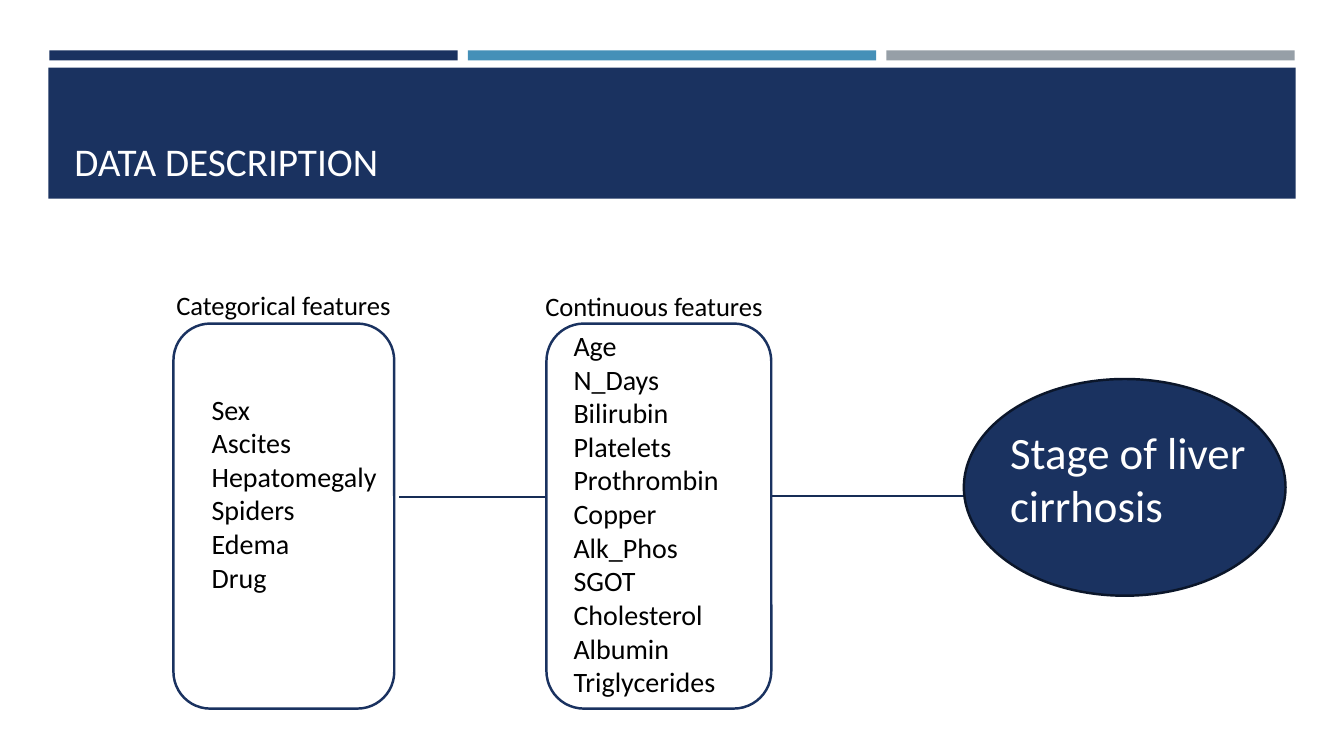
"""Build the data description slide: two feature groups leading to the stage of cirrhosis."""
from lxml.etree import SubElement
from pptx import Presentation
from pptx.dml.color import RGBColor
from pptx.enum.shapes import MSO_CONNECTOR, MSO_SHAPE
from pptx.enum.text import MSO_ANCHOR
from pptx.oxml.ns import qn
from pptx.util import Inches, Pt

NAVY = "1A3260"


def paint(color_format, color):
    color_format.rgb = RGBColor.from_string(color)


def add_text(box, lines, size, color, anchor=MSO_ANCHOR.TOP):
    text_box = slide.shapes.add_textbox(*map(Inches, box))
    frame = text_box.text_frame
    frame.word_wrap = True
    frame.vertical_anchor = anchor
    frame.text = "\n".join(lines)
    for paragraph in frame.paragraphs:
        font = paragraph.font
        for name, value in {"name": "Calibri", "size": Pt(size)}.items():
            setattr(font, name, value)
        paint(font.color, color)


presentation = Presentation()
presentation.slide_width = Inches(13.33)
presentation.slide_height = Inches(7.5)
slide = presentation.slides.add_slide(presentation.slide_layouts[6])

for left, right, height in [(3.96, 5.42, 4.93), (7.65, 9.6, 4.92)]:
    connector = slide.shapes.add_connector(
        MSO_CONNECTOR.STRAIGHT, Inches(left), Inches(height), Inches(right), Inches(height)
    )
    connector.line.width = Pt(1)
    paint(connector.line.color, "172D56")
    SubElement(connector._element.spPr, qn("a:effectLst"))

shapes = [
    (MSO_SHAPE.RECTANGLE, (0.48, 0.67, 12.37, 1.3), NAVY, None),
    (MSO_SHAPE.ROUNDED_RECTANGLE, (1.72, 3.21, 2.19, 3.82), "FFFFFF", NAVY),
    (MSO_SHAPE.ROUNDED_RECTANGLE, (5.42, 3.21, 2.23, 3.82), "FFFFFF", NAVY),
    (MSO_SHAPE.OVAL, (9.56, 3.76, 3.19, 2.15), NAVY, "0B162A"),
]
for column, color in enumerate([NAVY, "4590B8", "969FA7"]):
    shapes.append((MSO_SHAPE.RECTANGLE, (0.49 + column * 4.15, 0.5, 4.05, 0.1), color, None))

for kind, box, fill, outline in shapes:
    shape = slide.shapes.add_shape(kind, *map(Inches, box))
    shape.shadow.inherit = False
    shape.fill.solid()
    paint(shape.fill.fore_color, fill)
    if outline:
        shape.line.width = Pt(1.75)
        paint(shape.line.color, outline)
    else:
        shape.line.fill.background()

categorical = ["Sex", "Ascites", "Hepatomegaly", "Spiders", "Edema", "Drug"]
continuous = [
    "Age", "N_Days", "Bilirubin", "Platelets", "Prothrombin", "Copper",
    "Alk_Phos", "SGOT", "Cholesterol", "Albumin", "Triglycerides",
]
add_text((0.64, 0.77, 12.06, 1.11), ["DATA DESCRIPTION"], 28, "FFFFFF", MSO_ANCHOR.BOTTOM)
add_text((1.65, 2.82, 2.52, 0.42), ["Categorical features"], 19, "000000")
add_text((5.31, 2.83, 3.13, 0.42), ["Continuous features"], 19, "000000")
add_text((2, 3.84, 1.91, 2.42), categorical, 20, "000000")
add_text((5.59, 3.21, 2.23, 3.8), continuous, 20, "000000")
add_text((9.92, 4.16, 2.83, 1.17), ["Stage of liver cirrhosis"], 32, "FFFFFF")

presentation.save("out.pptx")
